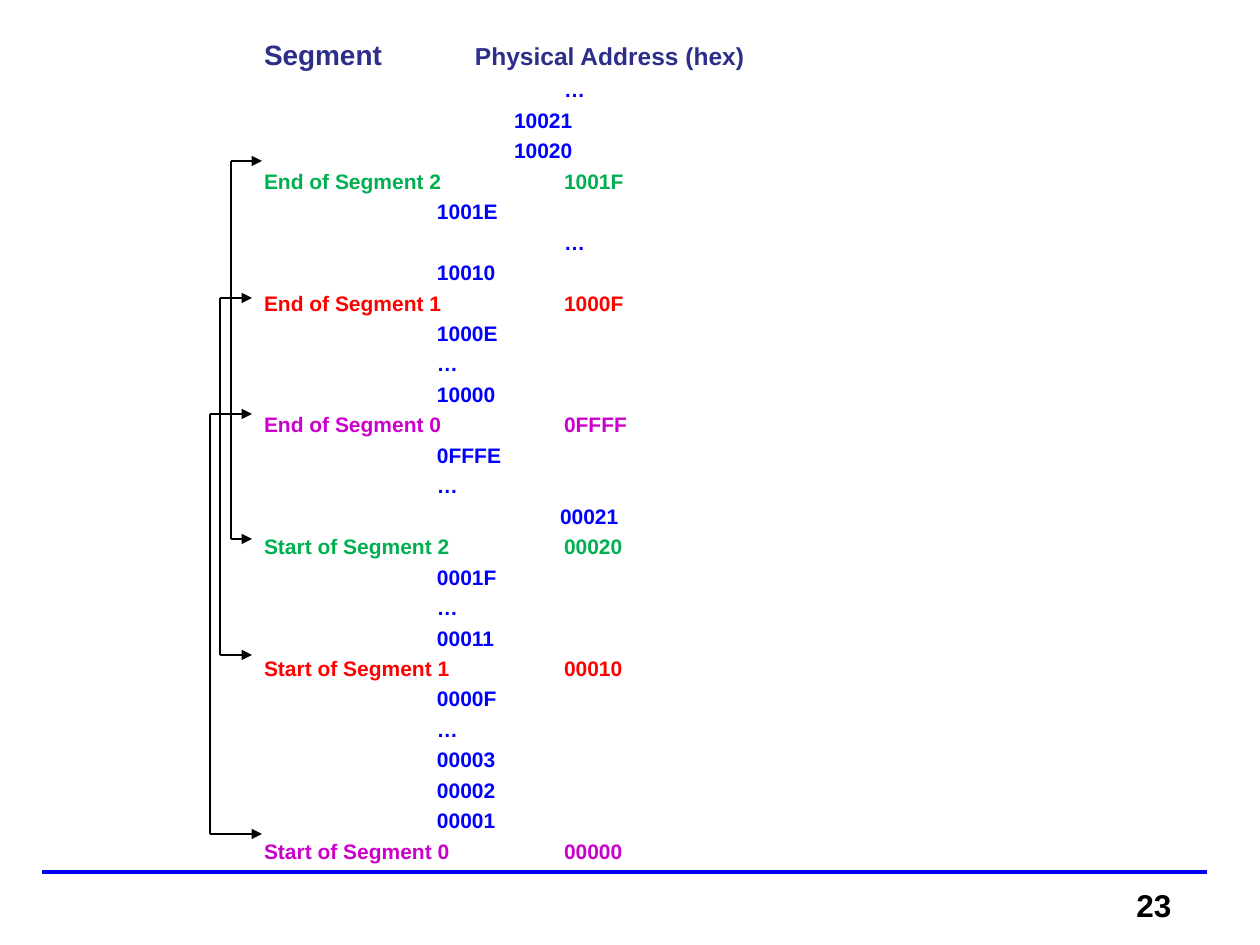
from dataclasses import dataclass

from lxml import etree
from pptx import Presentation, util as u
from pptx.dml.color import RGBColor
from pptx.enum import shapes, text
from pptx.oxml import ns


@dataclass(frozen=True)
class Theme:
    font: str = "Arial"
    heading: str = "2D2D8A"
    address: str = "0000FF"
    ink: str = "000000"
    segments: tuple = ("CC00CC", "FF0000", "00B050")
    segment_size: int = 16
    heading_size: int = 14
    row_size: int = 12
    number_size: int = 18
    row_gap: int = 3
    arrow_width: float = 0.75
    rule_width: float = 2.25


THEME = Theme()
SLIDE = (1260, 945)
BODY = (252, 32, 798, 829)
BODY_INSET = (12, 6)
NUMBER_BOX = (1124, 880, 95, 65)
RULE = (42, 872, 1207, 872)
PAGE_NUMBER = "23"

HEADING, NEAR, MIDDLE, INNER, FAR = 211, 173, 250, 296, 300
COLUMN_HEADS = ("Segment", "Physical Address (hex)")

ROWS = [
    (FAR, ["…"]),
    (MIDDLE, ["10021", "10020"]),
    ("End", 2, "1001F"),
    (NEAR, ["1001E"]),
    (FAR, ["…"]),
    (NEAR, ["10010"]),
    ("End", 1, "1000F"),
    (NEAR, ["1000E", "…", "10000"]),
    ("End", 0, "0FFFF"),
    (NEAR, ["0FFFE", "…"]),
    (INNER, ["00021"]),
    ("Start", 2, "00020"),
    (NEAR, ["0001F", "…", "00011"]),
    ("Start", 1, "00010"),
    (NEAR, ["0000F", "…", "00003", "00002", "00001"]),
    ("Start", 0, "00000"),
]

BRACKETS = [
    {"trunk": 210, "end": (252, 414), "start": (262, 834)},
    {"trunk": 220, "end": (252, 298), "start": (252, 655)},
    {"trunk": 231, "end": (262, 161), "start": (252, 539)},
]


def px(length):
    return u.Emu(round(length * 914400 / 126))


def add_run(line, words, size, color):
    run = line.add_run()
    run.text = words
    run.font.name = THEME.font
    run.font.size = u.Pt(size)
    run.font.bold = True
    run.font.color.rgb = RGBColor.from_string(color)


def start_line(line, column, hanging, gap):
    props = line._p.get_or_add_pPr()
    props.set("marL", str(px(column)))
    props.set("indent", str(-px(column) if hanging else 0))
    etree.SubElement(props, ns.qn("a:buNone"))
    line.alignment = text.PP_ALIGN.LEFT
    line.line_spacing = 1.0
    line.space_before = u.Pt(gap)
    line.space_after = u.Pt(0)


def add_line(slide, x1, y1, x2, y2, color, width, arrow=False):
    line = slide.shapes.add_connector(
        shapes.MSO_CONNECTOR.STRAIGHT, px(x1), px(y1), px(x2), px(y2))
    line.line.color.rgb = RGBColor.from_string(color)
    line.line.width = u.Pt(width)
    if arrow:
        etree.SubElement(line.line._get_or_add_ln(), ns.qn("a:tailEnd"), type="triangle")
    etree.SubElement(line._element.spPr, ns.qn("a:effectLst"))


def address_lines():
    for row in ROWS:
        if len(row) == 3:
            edge, segment, address = row
            words = f"{edge} of Segment {segment}\t{address}"
            yield FAR, True, words, THEME.segments[segment]
        else:
            column, addresses = row
            for address in addresses:
                yield column, False, address, THEME.address


def fill_body(body):
    body.left, body.top, body.width, body.height = map(px, BODY)
    frame = body.text_frame
    frame.word_wrap = True
    frame.auto_size = text.MSO_AUTO_SIZE.NONE
    frame.vertical_anchor = text.MSO_ANCHOR.TOP
    frame.margin_left, frame.margin_top = map(px, BODY_INSET)
    frame.margin_bottom = 0

    heads = frame.paragraphs[0]
    start_line(heads, HEADING, True, 0)
    add_run(heads, COLUMN_HEADS[0], THEME.segment_size, THEME.heading)
    add_run(heads, "\t" + COLUMN_HEADS[1], THEME.heading_size, THEME.heading)

    for column, hanging, words, color in address_lines():
        line = frame.add_paragraph()
        start_line(line, column, hanging, THEME.row_gap)
        add_run(line, words, THEME.row_size, color)


def main():
    deck = Presentation()
    deck.slide_width, deck.slide_height = map(px, SLIDE)
    slide = deck.slides.add_slide(deck.slide_layouts[1])
    title = slide.shapes.title._element
    title.getparent().remove(title)

    add_line(slide, *RULE, THEME.address, THEME.rule_width)
    fill_body(slide.placeholders[1])

    for bracket in BRACKETS:
        trunk = bracket["trunk"]
        ends = bracket["start"], bracket["end"]
        for tip, y in ends:
            add_line(slide, trunk, y, tip, y, THEME.ink, THEME.arrow_width, arrow=True)
        add_line(slide, trunk, ends[0][1], trunk, ends[1][1], THEME.ink, THEME.arrow_width)

    number = slide.shapes.add_textbox(*map(px, NUMBER_BOX)).text_frame
    number.word_wrap = True
    add_run(number.paragraphs[0], PAGE_NUMBER, THEME.number_size, THEME.ink)

    deck.save("out.pptx")


if __name__ == "__main__":
    main()
